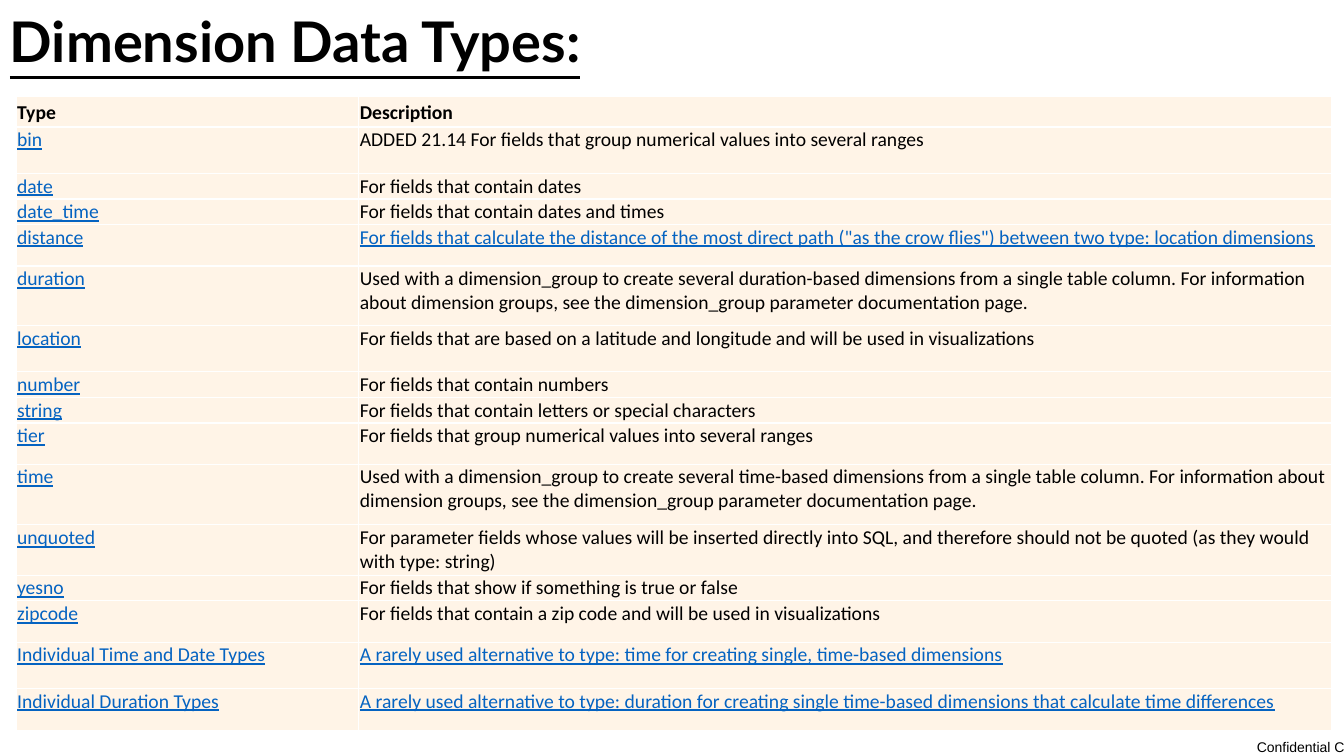
from lxml.etree import SubElement
from pptx import Presentation
from pptx.dml.color import RGBColor
from pptx.enum.text import MSO_ANCHOR
from pptx.oxml.ns import qn
from pptx.util import Pt

BLACK = RGBColor(0x00, 0x00, 0x00)
LINK_BLUE = RGBColor(0x05, 0x63, 0xC1)
CREAM = RGBColor(0xFF, 0xF4, 0xE7)
WHITE = RGBColor(0xFF, 0xFF, 0xFF)

TITLE = "Dimension Data Types:"
FOOTER = "Confidential C"
HEADINGS = ("Type", "Description")
HEADING_HEIGHT = 21.6
TYPES = [
    ("bin", "ADDED 21.14 For fields that group numerical values into several ranges", 33.2),
    ("date", "For fields that contain dates", 18.3),
    ("date_time", "For fields that contain dates and times", 18.3),
    ("distance", 'For fields that calculate the distance of the most direct path ("as the crow flies") '
     "between two type: location dimensions", 29.5),
    ("duration", "Used with a dimension_group to create several duration-based dimensions from a single "
     "table column. For information about dimension groups, see the dimension_group parameter "
     "documentation page.", 42.5),
    ("location", "For fields that are based on a latitude and longitude and will be used in "
     "visualizations", 33.2),
    ("number", "For fields that contain numbers", 18.3),
    ("string", "For fields that contain letters or special characters", 18.3),
    ("tier", "For fields that group numerical values into several ranges", 29.5),
    ("time", "Used with a dimension_group to create several time-based dimensions from a single "
     "table column. For information about dimension groups, see the dimension_group parameter "
     "documentation page.", 43.2),
    ("unquoted", "For parameter fields whose values will be inserted directly into SQL, and therefore "
     "should not be quoted (as they would with type: string)", 36),
    ("yesno", "For fields that show if something is true or false", 18.3),
    ("zipcode", "For fields that contain a zip code and will be used in visualizations", 29.5),
    ("Individual Time and Date Types", "A rarely used alternative to type: time for creating single, "
     "time-based dimensions", 33.2),
    ("Individual Duration Types", "A rarely used alternative to type: duration for creating single "
     "time-based dimensions that calculate time differences", 30.2),
]
LINKED_DESCRIPTIONS = {"distance", "Individual Time and Date Types", "Individual Duration Types"}
COLUMN_WIDTHS = (244.8, 694.8)
TABLE_LEFT, TABLE_TOP = 11.5, 69.1


def write(tf, text, font="Calibri", size=14, color=BLACK, bold=False, underline=False):
    r = tf.paragraphs[0].add_run()
    r.text = text
    r.font.name = font
    r.font.size = Pt(size)
    r.font.color.rgb = color
    r.font.bold = bold
    r.font.underline = underline


def add_box(s, left, top, width, height, margin_x, margin_y):
    tf = s.shapes.add_textbox(Pt(left), Pt(top), Pt(width), Pt(height)).text_frame
    tf.margin_left = tf.margin_right = Pt(margin_x)
    tf.margin_top = tf.margin_bottom = Pt(margin_y)
    return tf


def style_cell(cell):
    tc_pr = cell._tc.get_or_add_tcPr()
    for side in ("a:lnL", "a:lnR", "a:lnT", "a:lnB"):
        line = SubElement(tc_pr, qn(side), w=str(Pt(1)))
        SubElement(SubElement(line, qn("a:solidFill")), qn("a:srgbClr"), val=str(WHITE))
    cell.fill.solid()
    cell.fill.fore_color.rgb = CREAM
    cell.margin_left = cell.margin_right = cell.margin_top = Pt(0.72)
    cell.margin_bottom = Pt(0)


def add_types_table(s):
    heights = [HEADING_HEIGHT] + [height for _, _, height in TYPES]
    table = s.shapes.add_table(len(heights), len(COLUMN_WIDTHS), Pt(TABLE_LEFT), Pt(TABLE_TOP),
                               Pt(sum(COLUMN_WIDTHS)), Pt(sum(heights))).table
    table.first_row = table.horz_banding = False
    for column, width in zip(table.columns, COLUMN_WIDTHS):
        column.width = Pt(width)
    for row, height in zip(table.rows, heights):
        row.height = Pt(height)
    for cell in table.iter_cells():
        style_cell(cell)
    for col, heading in enumerate(HEADINGS):
        cell = table.cell(0, col)
        cell.vertical_anchor = MSO_ANCHOR.MIDDLE
        write(cell.text_frame, heading, bold=True)
    for row, (name, description, _) in enumerate(TYPES, start=1):
        linked = name in LINKED_DESCRIPTIONS
        write(table.cell(row, 0).text_frame, name, color=LINK_BLUE, underline=True)
        write(table.cell(row, 1).text_frame, description,
              color=LINK_BLUE if linked else BLACK, underline=linked)


def main():
    prs = Presentation()
    prs.slide_width, prs.slide_height = Pt(960), Pt(540)
    s = prs.slides.add_slide(prs.slide_layouts[6])
    write(add_box(s, 897.8, 527.8, 65.5, 12.2, 0, 0), FOOTER, font="Arial", size=10)
    add_types_table(s)
    title = add_box(s, 0, 1.4, 480, 55.4, 7.2, 3.6)
    title.word_wrap = True
    write(title, TITLE, font="Lato", size=40, bold=True, underline=True)
    prs.save("out.pptx")


if __name__ == "__main__":
    main()
